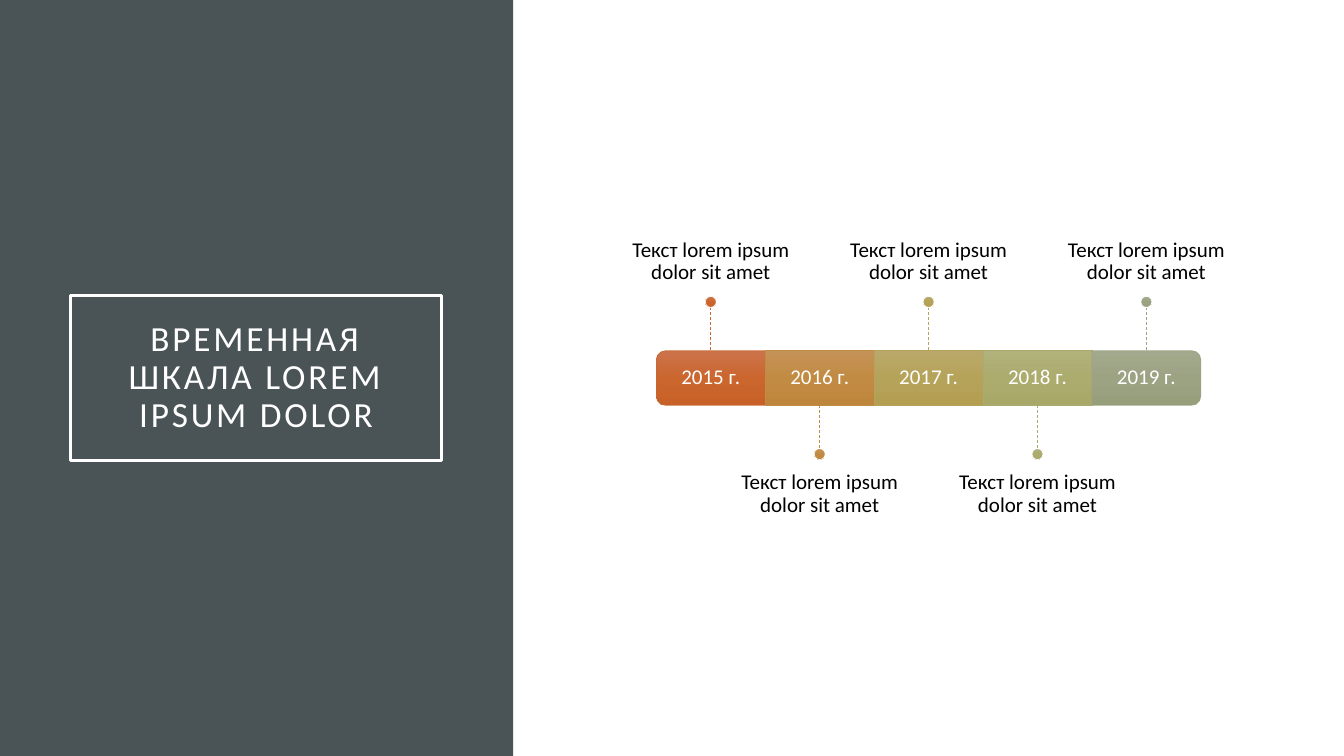
import copy

import lxml.etree
import pptx
import pptx.dml.color
import pptx.enum.dml
import pptx.enum.shapes
import pptx.enum.text
import pptx.oxml.ns
import pptx.util

Inches = pptx.util.Inches
Pt = pptx.util.Pt
RGBColor = pptx.dml.color.RGBColor
Shape = pptx.enum.shapes.MSO_SHAPE
Anchor = pptx.enum.text.MSO_ANCHOR
qn = pptx.oxml.ns.qn

FONT = "Calibri"
WHITE = RGBColor(0xFF, 0xFF, 0xFF)
BLACK = RGBColor(0, 0, 0)
SLATE = RGBColor(0x4A, 0x53, 0x56)

TITLE = "ВРЕМЕННАЯ ШКАЛА LOREM IPSUM DOLOR"
EVENT_TEXT = "Текст lorem ipsum dolor sit amet"
MILESTONES = [
    ("2015 г.", RGBColor(0xC9, 0x67, 0x31), ("CC734B", "CB662F", "C86128")),
    ("2016 г.", RGBColor(0xC0, 0x8B, 0x45), ("C49358", "C28B43", "BE863C")),
    ("2017 г.", RGBColor(0xB5, 0xA2, 0x5B), ("BAA86A", "B6A35A", "B39E52")),
    ("2018 г.", RGBColor(0xAB, 0xAB, 0x70), ("B1B17B", "ACAC6F", "A8A868")),
    ("2019 г.", RGBColor(0x9C, 0xA3, 0x83), ("A3A98C", "9CA383", "979E7C")),
]


def write_text(holder, text, size=15, color=BLACK, anchor=Anchor.MIDDLE,
               insets=(0, 0, 0, 0), tracking=None):
    """Write one centred paragraph; insets run left, top, right, bottom."""
    frame = holder.text_frame
    frame.word_wrap = True
    frame.vertical_anchor = anchor
    frame.margin_left, frame.margin_top, frame.margin_right, frame.margin_bottom = map(Inches, insets)
    paragraph = frame.paragraphs[0]
    paragraph.alignment = pptx.enum.text.PP_ALIGN.CENTER
    paragraph.line_spacing = 0.9
    run = paragraph.add_run()
    run.text = text
    run.font.name = FONT
    run.font.size = Pt(size)
    run.font.color.rgb = color
    if tracking:
        run.font._element.set("spc", str(tracking * 100))


def add_plain_shape(slide, kind, left, top, width, height):
    """Add a preset shape without a shadow."""
    shape = slide.shapes.add_shape(kind, Inches(left), Inches(top), Inches(width), Inches(height))
    shape.shadow.inherit = False
    return shape


def add_text(slide, text, left, top, width, height, **text_format):
    """Add a text box holding formatted text."""
    box = slide.shapes.add_textbox(Inches(left), Inches(top), Inches(width), Inches(height))
    write_text(box, text, **text_format)


def shade(shape, tones, outline):
    """Fill a shape with a three-tone vertical gradient and outline it."""
    shape.fill.gradient()
    shape.fill.gradient_angle = 270
    gradient = shape._element.spPr.find(qn("a:gradFill"))
    gradient.set("rotWithShape", "0")
    stops = gradient.find(qn("a:gsLst"))
    stops.insert(1, copy.deepcopy(stops[0]))
    for stop, position, tone in zip(shape.fill.gradient_stops, (0, 0.5, 1), tones):
        stop.position = position
        stop.color.rgb = RGBColor.from_string(tone)
    shape.line.color.rgb = outline
    shape.line.width = Pt(0.5)


def add_title_panel(slide, left, top, width, height):
    """Draw the dark side panel with its framed title."""
    panel = add_plain_shape(slide, Shape.RECTANGLE, left, top, width, height)
    panel.fill.solid()
    panel.fill.fore_color.rgb = SLATE
    panel.line.fill.background()

    frame = add_plain_shape(slide, Shape.RECTANGLE, left + 0.7, top + 2.93, width - 1.41, 1.64)
    frame.fill.background()
    frame.line.color.rgb = WHITE
    frame.line.width = Pt(2.5)
    write_text(frame, TITLE, size=25.2, color=WHITE, insets=(0.2,) * 4, tracking=2)


def add_segment(slide, left, top, width, height, rotation, tones, color):
    """Draw one bar segment, rounded on its outer side when rotated."""
    if rotation:
        segment = add_plain_shape(slide, Shape.ROUND_2_SAME_RECTANGLE,
                                  left + (width - height) / 2, top - (width - height) / 2, height, width)
        segment.rotation = rotation
    else:
        segment = add_plain_shape(slide, Shape.RECTANGLE, left, top, width, height)
    shade(segment, tones, color)


def add_event(slide, center, edge, direction, tones, color):
    """Draw the stem, dot and text of an event above (-1) or below (1) the bar."""
    stem, dot_size, text_width, text_height = 0.43, 0.11, 1.8, 1.89
    dot_edge = edge + direction * stem
    connector = slide.shapes.add_connector(
        pptx.enum.shapes.MSO_CONNECTOR.STRAIGHT,
        Inches(center), Inches(min(edge, dot_edge)), Inches(center), Inches(max(edge, dot_edge)))
    connector.line.color.rgb = color
    connector.line.width = Pt(0.5)
    connector.line.dash_style = pptx.enum.dml.MSO_LINE.DASH
    lxml.etree.SubElement(connector._element.spPr, qn("a:effectLst"))

    above = direction < 0
    dot_top = dot_edge - dot_size if above else dot_edge
    dot = add_plain_shape(slide, Shape.OVAL, center - dot_size / 2, dot_top, dot_size, dot_size)
    shade(dot, tones, WHITE)

    text_top = dot_top - text_height if above else dot_top + dot_size
    add_text(slide, EVENT_TEXT, center - text_width / 2, text_top, text_width, text_height,
             anchor=Anchor.BOTTOM if above else Anchor.TOP,
             insets=(0, 0, 0, 0.12) if above else (0, 0.12, 0, 0))


def add_timeline(slide, left, top, width, height):
    """Draw the bar of years with events alternating above and below it."""
    step = width / len(MILESTONES)
    end_rotations = {0: 270, len(MILESTONES) - 1: 90}
    for index, (year, color, tones) in enumerate(MILESTONES):
        segment_left = left + index * step
        add_segment(slide, segment_left, top, step, height, end_rotations.get(index, 0), tones, color)
        add_text(slide, year, segment_left, top, step, height, color=WHITE, insets=(0.12,) * 4)
        direction = 1 if index % 2 else -1
        edge = top + height if direction > 0 else top
        add_event(slide, segment_left + step / 2, edge, direction, tones, color)


def main():
    """Build and save the timeline slide."""
    deck = pptx.Presentation()
    deck.slide_width, deck.slide_height = Inches(13.33), Inches(7.5)
    slide = deck.slides.add_slide(deck.slide_layouts[6])
    add_title_panel(slide, 0, 0, 5.09, 7.5)
    add_timeline(slide, 6.51, 3.48, 5.4, 0.54)
    deck.save("out.pptx")


if __name__ == "__main__":
    main()
